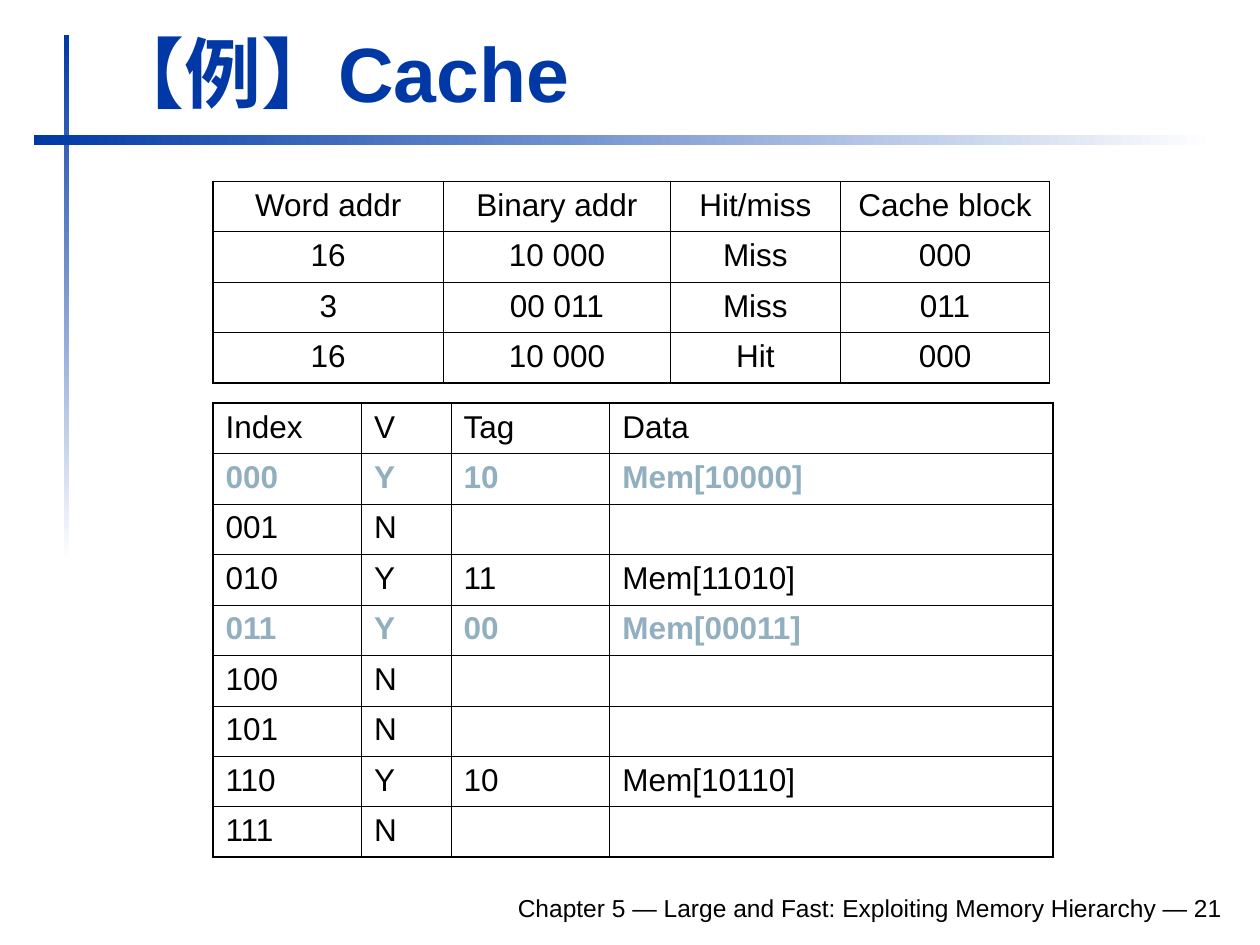
"""Build the worked cache example slide with its access log and cache state tables."""
from dataclasses import dataclass

from lxml import etree
from pptx import Presentation
from pptx.dml.color import RGBColor
from pptx.enum.shapes import MSO_SHAPE
from pptx.enum.text import MSO_ANCHOR, MSO_AUTO_SIZE, PP_ALIGN
from pptx.oxml.ns import qn
from pptx.slide import Slide
from pptx.table import _Cell
from pptx.text.text import _Paragraph
from pptx.util import Inches, Pt

LEFT, CENTER, RIGHT = PP_ALIGN.LEFT, PP_ALIGN.CENTER, PP_ALIGN.RIGHT
BOTTOM = MSO_ANCHOR.BOTTOM
GROW = MSO_AUTO_SIZE.SHAPE_TO_FIT_TEXT
RECTANGLE = MSO_SHAPE.RECTANGLE

BLUE = RGBColor(0x00, 0x39, 0xA6)
WHITE = RGBColor(0xFF, 0xFF, 0xFF)
BLACK = RGBColor(0x00, 0x00, 0x00)
GRAY_BLUE = RGBColor(0x91, 0xAF, 0xBF)

FONT = "Arial"
ROW_HEIGHT = 0.4
OUTER, HEADER_RULE, THIN = 1.08, 0.75, 0.45


@dataclass(frozen=True)
class FadingBar:
    left: float
    top: float
    width: float
    height: float
    angle: int


@dataclass(frozen=True)
class Grid:
    left: float
    top: float
    widths: tuple[float, ...]
    rows: tuple[tuple[str, ...], ...]
    align: PP_ALIGN
    row_rule: float
    highlighted: tuple[int, ...] = ()


BARS = (
    FadingBar(0.51, 0.28, 0.04, 4.17, 270),
    FadingBar(0.27, 1.07, 9.37, 0.08, 0),
)

CACHE_STATE = Grid(
    1.69, 3.2, (1.18, 0.71, 1.26, 3.52),
    (
        ("Index", "V", "Tag", "Data"),
        ("000", "Y", "10", "Mem[10000]"),
        ("001", "N", "", ""),
        ("010", "Y", "11", "Mem[11010]"),
        ("011", "Y", "00", "Mem[00011]"),
        ("100", "N", "", ""),
        ("101", "N", "", ""),
        ("110", "Y", "10", "Mem[10110]"),
        ("111", "N", "", ""),
    ),
    LEFT, THIN, highlighted=(1, 4),
)

ACCESS_LOG = Grid(
    1.69, 1.44, (1.83, 1.8, 1.35, 1.66),
    (
        ("Word addr", "Binary addr", "Hit/miss", "Cache block"),
        ("16", "10 000", "Miss", "000"),
        ("3", "00 011", "Miss", "011"),
        ("16", "10 000", "Hit", "000"),
    ),
    CENTER, HEADER_RULE,
)


def style(paragraph: _Paragraph, size: float, color: RGBColor,
          bold: bool, align: PP_ALIGN) -> None:
    paragraph.alignment = align
    font = paragraph.font
    font.name, font.size, font.bold = FONT, Pt(size), bold
    font.color.rgb = color


def add_bar(slide: Slide, bar: FadingBar) -> None:
    strip = slide.shapes.add_shape(
        RECTANGLE, Inches(bar.left), Inches(bar.top),
        Inches(bar.width), Inches(bar.height))
    strip.shadow.inherit = False
    strip.line.fill.background()
    strip.fill.gradient()
    strip.fill.gradient_angle = bar.angle
    for stop, color in zip(strip.fill.gradient_stops, (BLUE, WHITE)):
        stop.color.rgb = color


def set_borders(cell: _Cell, widths: dict[str, float]) -> None:
    properties = cell._tc.get_or_add_tcPr()
    for side, width in widths.items():
        line = etree.SubElement(properties, qn(f"a:ln{side}"), w=str(Pt(width)))
        fill = etree.SubElement(line, qn("a:solidFill"))
        etree.SubElement(fill, qn("a:srgbClr"), val=str(BLACK))


def add_grid(slide: Slide, grid: Grid) -> None:
    row_count, column_count = len(grid.rows), len(grid.widths)
    table = slide.shapes.add_table(
        row_count, column_count, Inches(grid.left), Inches(grid.top),
        Inches(sum(grid.widths)), Inches(ROW_HEIGHT * row_count)).table
    table.first_row = table.horz_banding = False
    for column, width in zip(table.columns, grid.widths):
        column.width = Inches(width)
    for row in table.rows:
        row.height = Inches(ROW_HEIGHT)

    row_rules = [OUTER, HEADER_RULE] + [grid.row_rule] * (row_count - 2) + [OUTER]
    column_rules = [OUTER] + [THIN] * (column_count - 1) + [OUTER]
    for r, texts in enumerate(grid.rows):
        marked = r in grid.highlighted
        for c, text in enumerate(texts):
            cell = table.cell(r, c)
            set_borders(cell, {"L": column_rules[c], "R": column_rules[c + 1],
                               "T": row_rules[r], "B": row_rules[r + 1]})
            cell.fill.background()
            cell.text = text
            style(cell.text_frame.paragraphs[0], 18,
                  GRAY_BLUE if marked else BLACK, marked, grid.align)


def add_title(slide: Slide) -> None:
    title = slide.shapes.title
    title.left, title.top = Inches(0.75), Inches(0.16)
    title.width, title.height = Inches(9.03), Inches(0.83)
    frame = title.text_frame
    frame.text = "【例】Cache"
    frame.vertical_anchor = BOTTOM
    frame.auto_size = GROW
    style(frame.paragraphs[0], 44, BLUE, True, LEFT)


def add_footer(slide: Slide) -> None:
    frame = slide.shapes.add_textbox(
        Inches(1.85), Inches(6.98), Inches(7.95), Inches(0.39)).text_frame
    frame.word_wrap = True
    frame.vertical_anchor = BOTTOM
    frame.text = "Chapter 5 — Large and Fast: Exploiting Memory Hierarchy — 21"
    style(frame.paragraphs[0], 14, BLACK, False, RIGHT)


def main() -> None:
    presentation = Presentation()
    presentation.slide_width, presentation.slide_height = Inches(10), Inches(7.5)
    slide = presentation.slides.add_slide(presentation.slide_layouts[5])
    for bar in BARS:
        add_bar(slide, bar)
    add_footer(slide)
    add_title(slide)
    for grid in (CACHE_STATE, ACCESS_LOG):
        add_grid(slide, grid)
    presentation.save("out.pptx")


if __name__ == "__main__":
    main()
